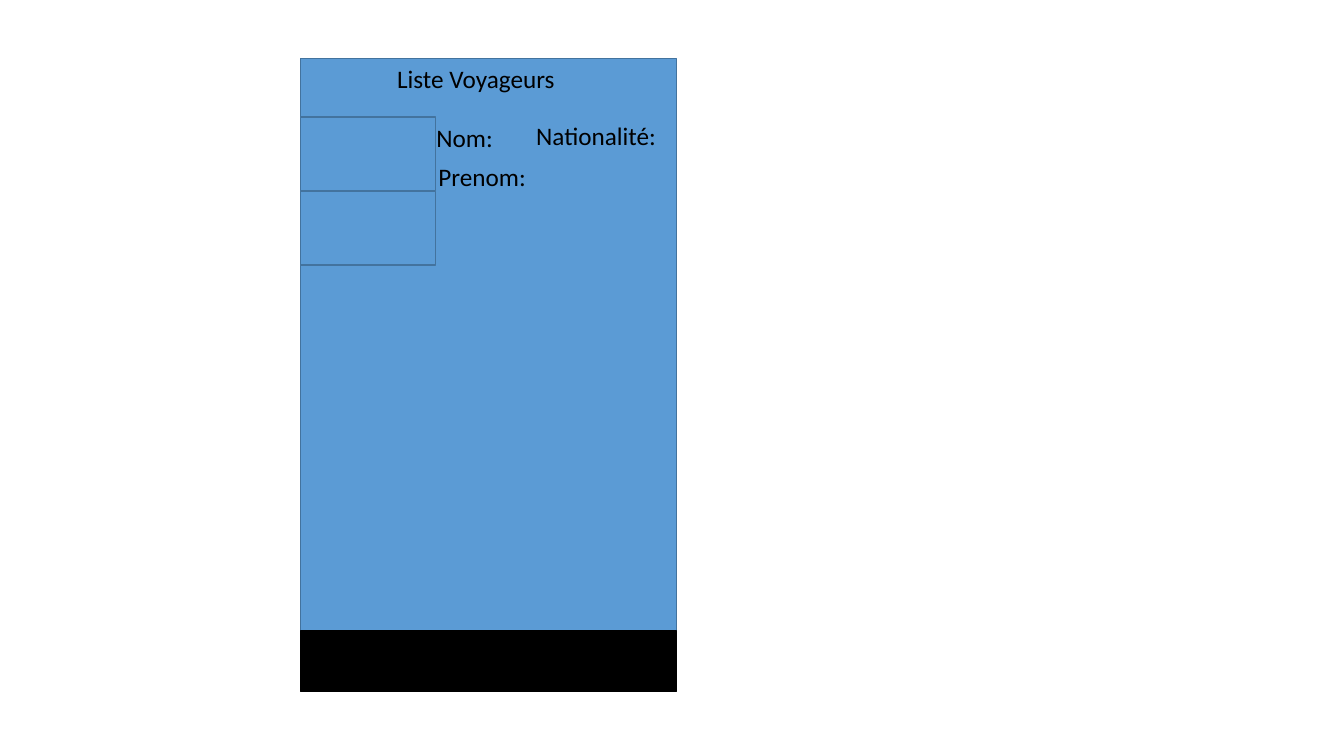
import pptx
import pptx.util
import pptx.dml.color
import pptx.enum.shapes
import pptx.enum.text

Inches = pptx.util.Inches
COLORS = {"blue": "5B9BD5", "edge": "43739E", "black": "000000"}


def color(name):
    return pptx.dml.color.RGBColor.from_string(COLORS[name])


def write(frame, text, size=18, font="Calibri", ink="black"):
    run = frame.paragraphs[0].add_run()
    run.text = text
    run.font.size = pptx.util.Pt(size)
    run.font.name = font
    run.font.color.rgb = color(ink)


class Sketch:
    """Holds the line style and the current slide."""

    def __init__(self, slide, weight=1):
        self.slide = slide
        self.weight = pptx.util.Pt(weight)

    def rect(self, left, top, width, height, fill="blue", edge="edge"):
        kind = pptx.enum.shapes.MSO_SHAPE.RECTANGLE
        shape = self.slide.shapes.add_shape(
            kind, Inches(left), Inches(top), Inches(width), Inches(height))
        shape.shadow.inherit = False
        shape.fill.solid()
        shape.fill.fore_color.rgb = color(fill)
        shape.line.color.rgb = color(edge)
        shape.line.width = self.weight

    def label(self, text, left, top, width, height=0.4):
        box = self.slide.shapes.add_textbox(
            Inches(left), Inches(top), Inches(width), Inches(height))
        frame = box.text_frame
        frame.word_wrap = True
        frame.auto_size = pptx.enum.text.MSO_AUTO_SIZE.SHAPE_TO_FIT_TEXT
        write(frame, text)


def main():
    deck = pptx.Presentation()
    deck.slide_width, deck.slide_height = Inches(13.33), Inches(7.5)
    sketch = Sketch(deck.slides.add_slide(deck.slide_layouts[6]))
    left, width = 2.98, 3.73

    # Phone screen and bottom bar
    sketch.rect(left, 0.58, width, 6.27)
    sketch.rect(left, 6.26, width, 0.6, fill="black", edge="black")

    # Title and traveller fields
    sketch.label("Nom:", 4.23, 1.16, 1.68)
    sketch.label("Liste Voyageurs", 3.84, 0.58, 2.07)
    sketch.label("Prenom:", 4.25, 1.55, 1.65)
    sketch.label("Nationalité:", 5.22, 1.14, 1.43)

    # Photo frames
    for row in range(2):
        sketch.rect(left, 1.16 + row * 0.74, 1.34, 0.73)

    deck.save("out.pptx")


if __name__ == "__main__":
    main()
